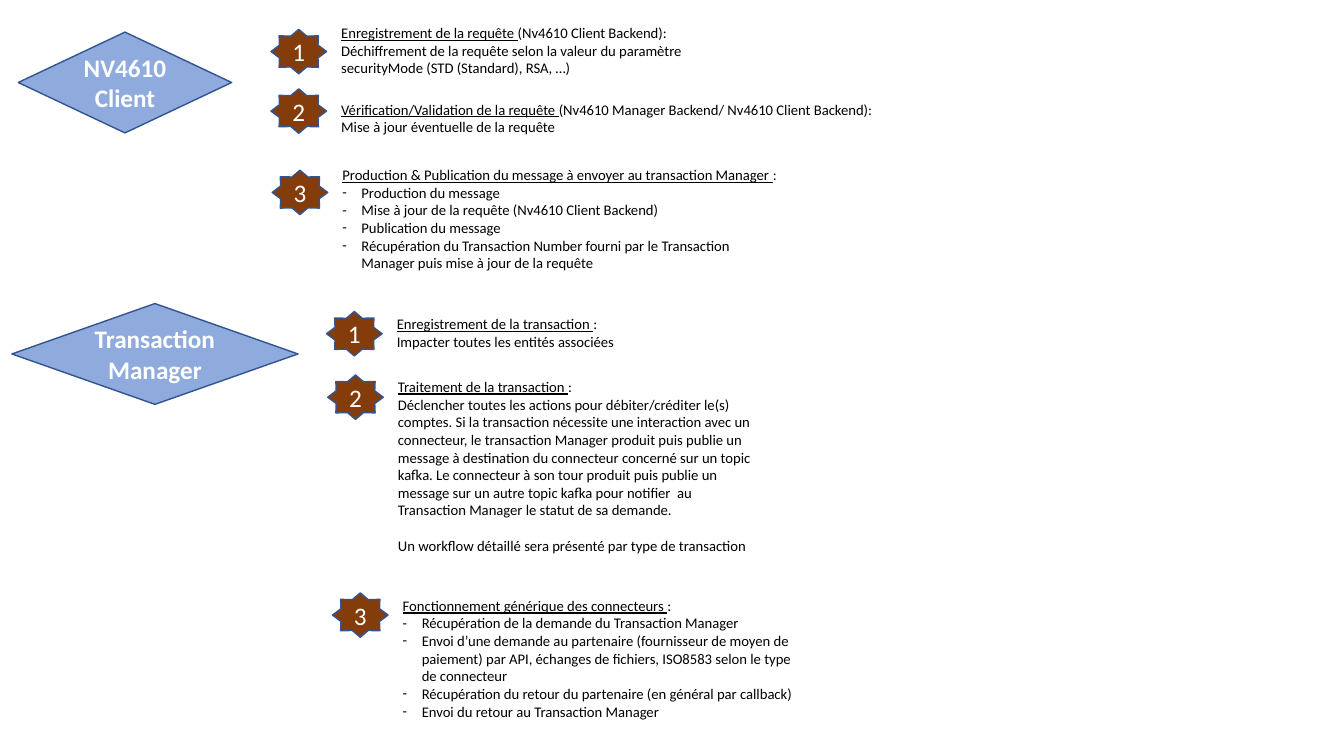
import dataclasses

import lxml.etree
import pptx
import pptx.dml.color
import pptx.enum.shapes
import pptx.enum.text
import pptx.oxml.ns
import pptx.util

Cm, Pt = pptx.util.Cm, pptx.util.Pt
RGBColor = pptx.dml.color.RGBColor
MSO_SHAPE = pptx.enum.shapes.MSO_SHAPE

BLUE = RGBColor(0x8F, 0xAA, 0xDC)
OUTLINE = RGBColor(0x32, 0x54, 0x91)
BROWN = RGBColor(0x84, 0x3C, 0x0B)
WHITE = RGBColor(0xFF, 0xFF, 0xFF)
BLACK = RGBColor(0x00, 0x00, 0x00)
FONT = "Calibri"
BODY_SIZE = 10.5
LINE_HEIGHT = 12.8
INDENT = Cm(0.48)
STAR_WIDTH, STAR_HEIGHT = 1.4, 1.12
TEXT_OFFSET = 1.52
DIAMOND_HEIGHT = 2.54


@dataclasses.dataclass
class Step:
    """A numbered step; dx, dy and text_dy are offsets in cm from its section."""
    dx: float
    dy: float
    text_dy: float
    width: float
    height: float
    heading: str
    suffix: str
    lines: list
    bulleted: bool = False
    spaced_line: int = -1


CLIENT_STEPS = [
    Step(6.37, -0.07, -0.33, 9.53, 1.6,
         "Enregistrement de la requête ", "(Nv4610 Client Backend):",
         ["Déchiffrement de la requête selon la valeur du paramètre "
          "securityMode (STD (Standard), RSA, …)"]),
    Step(6.37, 1.43, 1.6, 15.32, 1.14,
         "Vérification/Validation de la requête ",
         "(Nv4610 Manager Backend/ Nv4610 Client Backend):",
         ["Mise à jour éventuelle de la requête"]),
    Step(6.4, 3.48, 3.25, 11.66, 2.95,
         "Production & Publication du message à envoyer au transaction Manager ", ":",
         ["Production du message",
          "Mise à jour de la requête (Nv4610 Client Backend)",
          "Publication du message",
          "Récupération du Transaction Number fourni par le Transaction "
          "Manager puis mise à jour de la requête"],
         bulleted=True),
]

MANAGER_STEPS = [
    Step(7.93, 0.2, 0.17, 9.53, 1.14,
         "Enregistrement de la transaction ", ":",
         ["Impacter toutes les entités associées"]),
    Step(7.96, 1.8, 1.75, 9.53, 4.75,
         "Traitement de la transaction ", ":",
         ["Déclencher toutes les actions pour débiter/créditer le(s) comptes. "
          "Si la transaction nécessite une interaction avec un connecteur, le "
          "transaction Manager produit puis publie un message à destination du "
          "connecteur concerné sur un topic kafka. Le connecteur à son tour "
          "produit puis publie un message sur un autre topic kafka pour "
          "notifier  au Transaction Manager le statut de sa demande.",
          "Un workflow détaillé sera présenté par type de transaction"],
         spaced_line=1),
    Step(8.08, 7.29, 7.26, 10.69, 3.4,
         "Fonctionnement générique des connecteurs ", ":",
         ["Récupération de la demande du Transaction Manager",
          "Envoi d’une demande au partenaire (fournisseur de moyen de paiement) "
          "par API, échanges de fichiers, ISO8583 selon le type de connecteur",
          "Récupération du retour du partenaire (en général par callback)",
          "Envoi du retour au Transaction Manager"],
         bulleted=True),
]


def format_run(r, size, color, bold=False, underline=False):
    """Apply the slide's font to a run."""
    r.font.name = FONT
    r.font.size = Pt(size)
    r.font.color.rgb = color
    r.font.bold = bold
    r.font.underline = underline


def add_label(slide, kind, left, top, width, height, fill, text, bold=False):
    """Add an outlined shape with a centred white label."""
    sp = slide.shapes.add_shape(kind, Cm(left), Cm(top), Cm(width), Cm(height))
    sp.shadow.inherit = False
    sp.fill.solid()
    sp.fill.fore_color.rgb = fill
    sp.line.color.rgb = OUTLINE
    sp.line.width = Pt(1)
    tf = sp.text_frame
    tf.text = text
    tf.word_wrap = True
    tf.vertical_anchor = pptx.enum.text.MSO_ANCHOR.MIDDLE
    p = tf.paragraphs[0]
    p.alignment = pptx.enum.text.PP_ALIGN.CENTER
    format_run(p.runs[0], 18, WHITE, bold=bold)


def add_dash(p):
    """Give a paragraph a hanging dash bullet."""
    pPr = p._p.get_or_add_pPr()
    pPr.set("marL", str(INDENT))
    pPr.set("indent", str(-INDENT))
    font = lxml.etree.SubElement(pPr, pptx.oxml.ns.qn("a:buFont"))
    font.set("typeface", FONT)
    bullet = lxml.etree.SubElement(pPr, pptx.oxml.ns.qn("a:buChar"))
    bullet.set("char", "-")


def add_step_text(slide, left, top, step):
    """Add the underlined heading of a step and its lines."""
    sp = slide.shapes.add_textbox(Cm(left), Cm(top), Cm(step.width), Cm(step.height))
    tf = sp.text_frame
    tf.word_wrap = True
    tf.auto_size = pptx.enum.text.MSO_AUTO_SIZE.SHAPE_TO_FIT_TEXT
    p = tf.paragraphs[0]
    for text, underline in ((step.heading, True), (step.suffix, False)):
        r = p.add_run()
        r.text = text
        format_run(r, BODY_SIZE, BLACK, underline=underline)
    for i, line in enumerate(step.lines):
        p = tf.add_paragraph()
        p.text = line
        format_run(p.runs[0], BODY_SIZE, BLACK)
        if i == step.spaced_line:
            p.space_before = Pt(LINE_HEIGHT)
        if step.bulleted:
            add_dash(p)


def add_section(slide, left, top, diamond_width, title, steps):
    """Place a titled diamond and its numbered steps from the given corner."""
    add_label(slide, MSO_SHAPE.DIAMOND, left, top, diamond_width, DIAMOND_HEIGHT,
              BLUE, title, bold=True)
    for number, step in enumerate(steps, 1):
        x = left + step.dx
        add_step_text(slide, x + TEXT_OFFSET, top + step.text_dy, step)
        add_label(slide, MSO_SHAPE.STAR_8_POINT, x, top + step.dy,
                  STAR_WIDTH, STAR_HEIGHT, BROWN, str(number))


def main():
    """Build the slide and save it."""
    prs = pptx.Presentation()
    prs.slide_width, prs.slide_height = Cm(33.87), Cm(19.05)
    slide = prs.slides.add_slide(prs.slide_layouts[6])
    add_section(slide, 0.46, 0.81, 5.38, "NV4610 Client", CLIENT_STEPS)
    add_section(slide, 0.3, 7.65, 7.21, "Transaction Manager", MANAGER_STEPS)
    prs.save("out.pptx")


if __name__ == "__main__":
    main()
